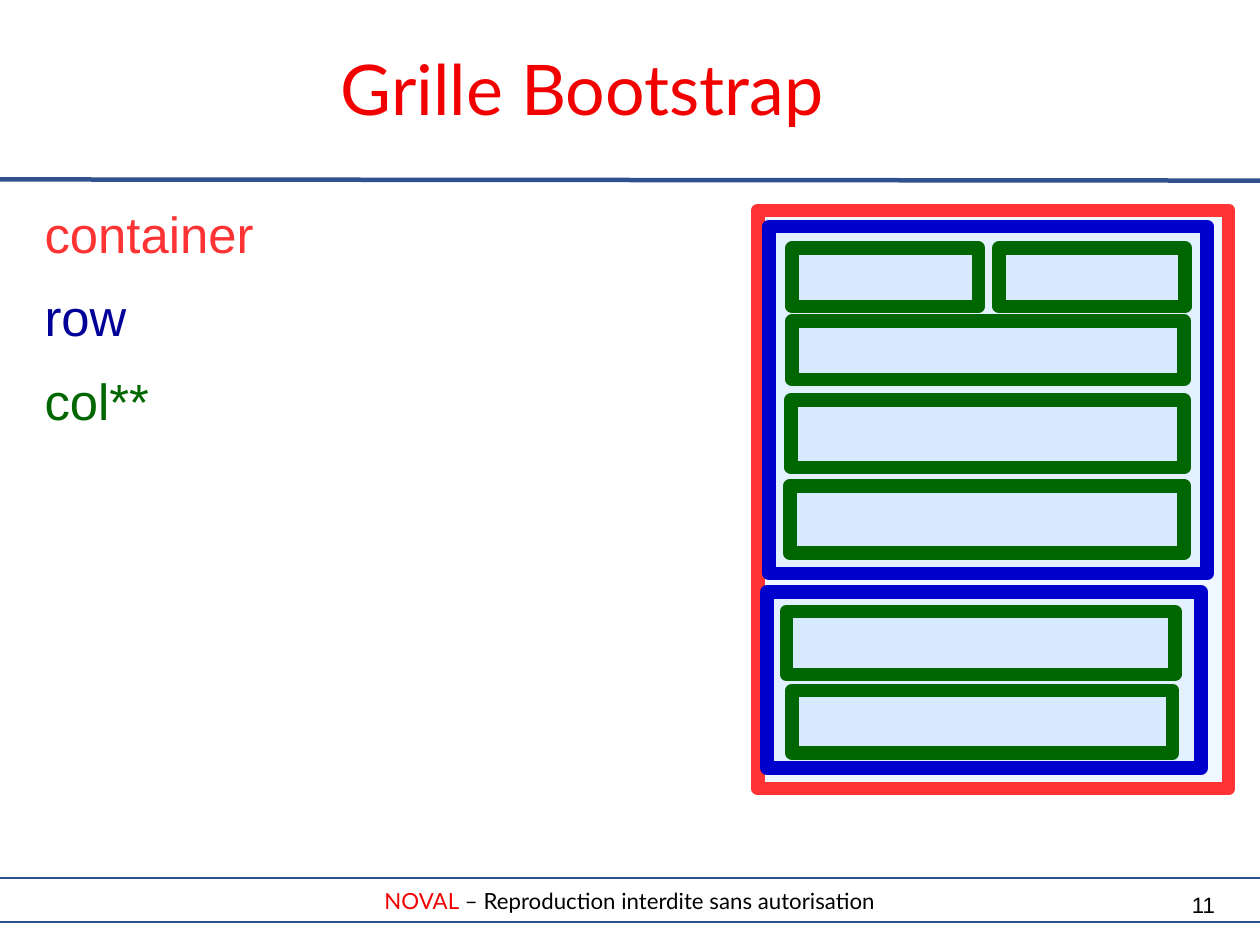
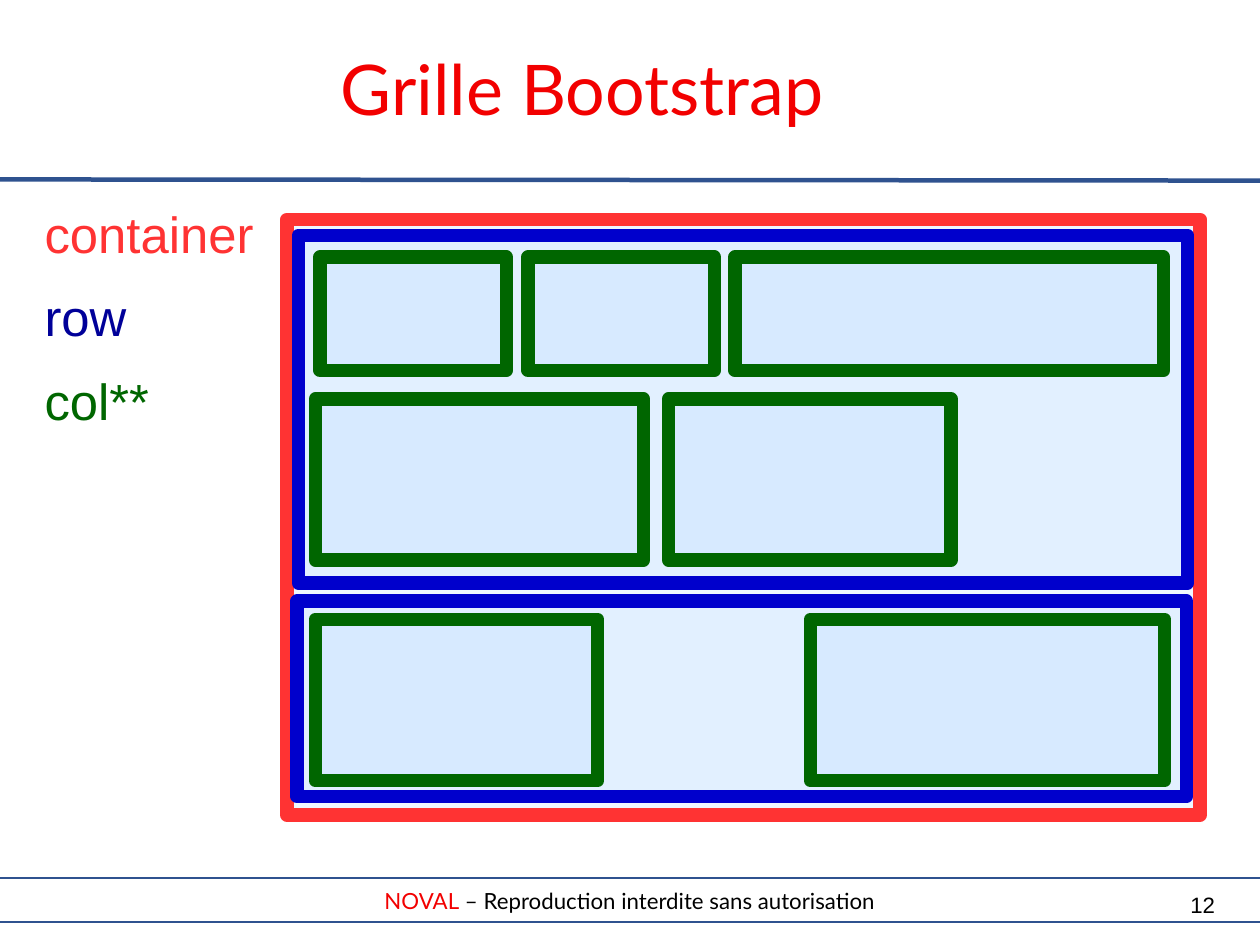
from lxml import etree
from pptx import Presentation
from pptx.dml.color import RGBColor
from pptx.enum.shapes import MSO_CONNECTOR, MSO_SHAPE
from pptx.enum.text import MSO_ANCHOR, MSO_AUTO_SIZE, PP_ALIGN
from pptx.oxml.ns import qn
from pptx.util import Cm, Inches, Pt

RECTANGLE = MSO_SHAPE.RECTANGLE
STRAIGHT = MSO_CONNECTOR.STRAIGHT
MIDDLE, TOP = MSO_ANCHOR.MIDDLE, MSO_ANCHOR.TOP
NO_AUTOFIT = MSO_AUTO_SIZE.NONE
LEFT, CENTER, RIGHT = PP_ALIGN.LEFT, PP_ALIGN.CENTER, PP_ALIGN.RIGHT

TITLE_RED = RGBColor(0xF2, 0x00, 0x00)
BAND_BLUE = RGBColor(0x2F, 0x52, 0x8F)
BLACK = RGBColor(0x00, 0x00, 0x00)
CONTAINER_RED = RGBColor(0xFF, 0x33, 0x33)
ROW_BLUE = RGBColor(0x00, 0x00, 0xCC)
ROW_TEXT_BLUE = RGBColor(0x00, 0x00, 0x99)
COLUMN_GREEN = RGBColor(0x00, 0x66, 0x00)
BOX_TINT = RGBColor(0x99, 0xCC, 0xFF)

TITLE_FONT, BODY_FONT = "Lato", "Arial"
LEGEND = [("container", CONTAINER_RED), ("row", ROW_TEXT_BLUE), ("col**", COLUMN_GREEN)]

# Boxes are (left, top, width, height).
# Column bands are (top, height, [(left, width), ...]).
GRIDS = [
    {
        "number": "11",
        "container": (6.63, 1.84, 4.12, 5.06),
        "rows": [(6.73, 1.98, 3.83, 3.04), (6.71, 5.18, 3.8, 1.54)],
        "columns": [
            (2.17, 0.51, [(6.93, 1.63), (8.74, 1.63)]),
            (2.81, 0.51, [(6.93, 3.43)]),
            (3.5, 0.59, [(6.92, 3.44)]),
            (4.25, 0.59, [(6.91, 3.45)]),
            (5.35, 0.55, [(6.88, 3.4)]),
            (6.04, 0.55, [(6.93, 3.33)]),
        ],
    },
    {
        "number": "12",
        "container": (2.51, 1.92, 7.99, 5.21),
        "rows": [(2.61, 2.06, 7.78, 3.04), (2.6, 5.26, 7.78, 1.71)],
        "columns": [
            (2.25, 0.99, [(2.8, 1.63), (4.62, 1.63), (6.43, 3.75)]),
            (3.49, 1.41, [(2.76, 2.87), (5.85, 2.47)]),
            (5.42, 1.41, [(2.76, 2.47), (7.09, 3.1)]),
        ],
    },
]


def write_text(shape, paragraphs, font, size, align=LEFT, anchor=TOP, space_after=0):
    """Fill a shape; each paragraph is a list of (text, color) runs."""
    frame = shape.text_frame
    frame.word_wrap = True
    frame.auto_size = NO_AUTOFIT
    frame.vertical_anchor = anchor
    frame.margin_left = frame.margin_right = 0
    frame.margin_top = frame.margin_bottom = 0
    for index, runs in enumerate(paragraphs):
        paragraph = frame.add_paragraph() if index else frame.paragraphs[0]
        paragraph.alignment = align
        paragraph.space_before = Pt(0)
        paragraph.space_after = Pt(space_after)
        for text, color in runs:
            run = paragraph.add_run()
            run.text = text
            run.font.name = font
            run.font.size = Pt(size)
            run.font.color.rgb = color


def add_grid_box(slide, box, line_color):
    shape = slide.shapes.add_shape(RECTANGLE, *map(Inches, box))
    shape.shadow.inherit = False
    shape.fill.solid()
    shape.fill.fore_color.rgb = BOX_TINT
    tint = shape.fill._xPr.find(qn("a:solidFill")).find(qn("a:srgbClr"))
    etree.SubElement(tint, qn("a:alpha")).set("val", "15000")
    shape.line.color.rgb = line_color
    shape.line.width = Pt(8.5)
    etree.SubElement(shape.line._ln, qn("a:round"))


presentation = Presentation()
presentation.slide_width = Cm(28)
presentation.slide_height = Cm(21)
title_only = presentation.slide_layouts[5]

for grid in GRIDS:
    slide = presentation.slides.add_slide(title_only)

    title = slide.shapes.title
    title.left, title.top = Inches(0.39), Inches(0.16)
    title.width, title.height = Inches(9.25), Inches(1.21)
    write_text(title, [[(" Grille Bootstrap", TITLE_RED)]], TITLE_FONT, 44, CENTER, MIDDLE)

    footer = slide.shapes.add_shape(
        RECTANGLE, Inches(-0.2), Inches(7.68), Inches(11.42), Inches(0.39))
    footer.shadow.inherit = False
    footer.fill.background()
    footer.line.color.rgb = BAND_BLUE
    footer.line.width = Pt(1.42)
    footer_runs = [("NOVAL", TITLE_RED), (" – Reproduction interdite sans autorisation", BLACK)]
    write_text(footer, [footer_runs], TITLE_FONT, 14, CENTER, MIDDLE)

    title_rule = slide.shapes.add_connector(
        STRAIGHT, 0, Inches(1.57), presentation.slide_width, Inches(1.58))
    title_rule.line.color.rgb = BAND_BLUE
    title_rule.line.width = Pt(2.83)
    etree.SubElement(title_rule._element.spPr, qn("a:effectLst"))

    page_number = slide.shapes.add_textbox(
        Inches(10.24), Inches(7.8), Inches(0.39), Inches(0.42))
    write_text(page_number, [[(grid["number"], BLACK)]], BODY_FONT, 14, RIGHT)

    legend = slide.shapes.add_textbox(
        Inches(0.39), Inches(1.77), Inches(10.24), Inches(5.52))
    write_text(legend, [[entry] for entry in LEGEND], BODY_FONT, 32, space_after=14.3)

    add_grid_box(slide, grid["container"], CONTAINER_RED)
    for row in grid["rows"]:
        add_grid_box(slide, row, ROW_BLUE)
    for top, height, columns in grid["columns"]:
        for left, width in columns:
            add_grid_box(slide, (left, top, width, height), COLUMN_GREEN)

presentation.save("out.pptx")
